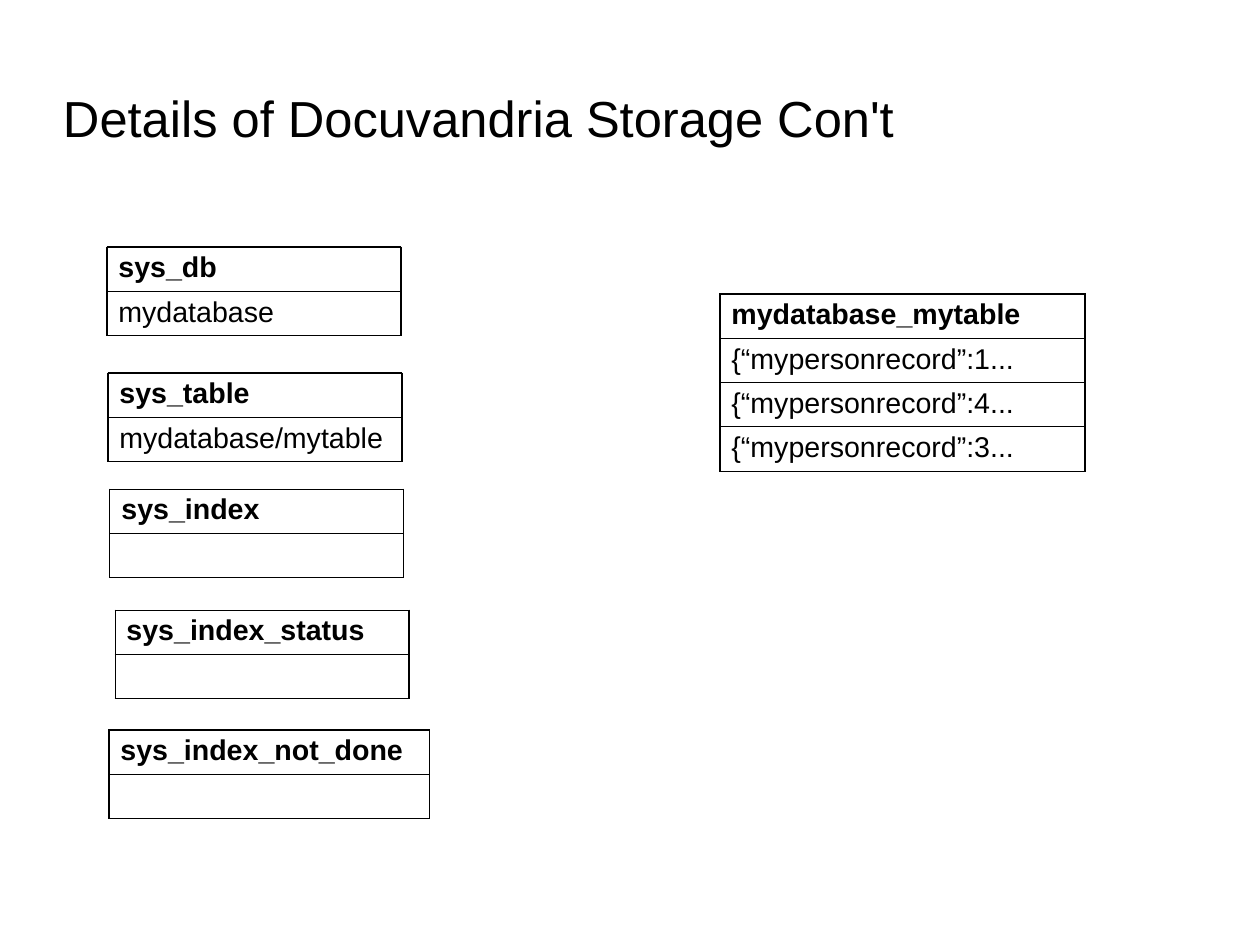
from lxml import etree
from pptx import Presentation
from pptx import util as u
from pptx.dml.color import RGBColor
from pptx.enum import text
from pptx.oxml.ns import qn

PX = 8000
BLACK, WHITE = "000000", "FFFFFF"
TABLES = [
    (720, 294, 365, ["mydatabase_mytable"]
     + [f"{{“mypersonrecord”:{number}..." for number in (1, 4, 3)]),
    (107, 247, 294, ["sys_db", "mydatabase"]),
    (108, 373, 294, ["sys_table", "mydatabase/mytable"]),
    (110, 489, 294, ["sys_index", ""]),
    (115, 610, 294, ["sys_index_status", ""]),
    (109, 730, 321, ["sys_index_not_done", ""]),
]


def px(*lengths):
    return [u.Emu(length * PX) for length in lengths]


def color(code):
    return RGBColor.from_string(code)


def set_font(para, size, bold=False):
    para.font.name = "Arial"
    para.font.size = u.Pt(size)
    para.font.bold = bold
    para.font.color.rgb = color(BLACK)


def add_title(page, left, top, width, height, title):
    frame = page.shapes.add_textbox(*px(left, top, width, height)).text_frame
    frame.margin_left = frame.margin_right = 0
    frame.margin_top = frame.margin_bottom = 0
    frame.vertical_anchor = text.MSO_ANCHOR.MIDDLE
    frame.word_wrap = True
    para = frame.paragraphs[0]
    para.text = title
    set_font(para, 31.9)


def add_borders(cell):
    properties = cell._tc.get_or_add_tcPr()
    for side in ("lnL", "lnR", "lnT", "lnB"):
        line = etree.SubElement(properties, qn(f"a:{side}"), w=str(u.Pt(0.75)))
        fill = etree.SubElement(line, qn("a:solidFill"))
        etree.SubElement(fill, qn("a:srgbClr"), val=BLACK)


def add_storage_table(page, left, top, width, entries):
    """Add a one-column table whose first entry is its bold name."""
    heights = [44 - index % 2 for index in range(len(entries))]
    box = px(left, top, width, sum(heights))
    table = page.shapes.add_table(len(entries), 1, *box).table
    table.first_row = table.horz_banding = False
    for index, (entry, height) in enumerate(zip(entries, heights)):
        table.rows[index].height = px(height)[0]
        cell = table.cell(index, 0)
        cell.margin_top, cell.margin_bottom = px(5, 5)
        add_borders(cell)
        cell.fill.solid()
        cell.fill.fore_color.rgb = color(WHITE)
        para = cell.text_frame.paragraphs[0]
        para.text = entry
        set_font(para, 18, bold=index == 0)


def main():
    deck = Presentation()
    deck.slide_width, deck.slide_height = px(1260, 945)
    page = deck.slides.add_slide(deck.slide_layouts[6])
    add_title(page, 63, 72, 900, 90, "Details of Docuvandria Storage Con't")
    for left, top, width, entries in TABLES:
        add_storage_table(page, left, top, width, entries)
    deck.save("out.pptx")


if __name__ == "__main__":
    main()
